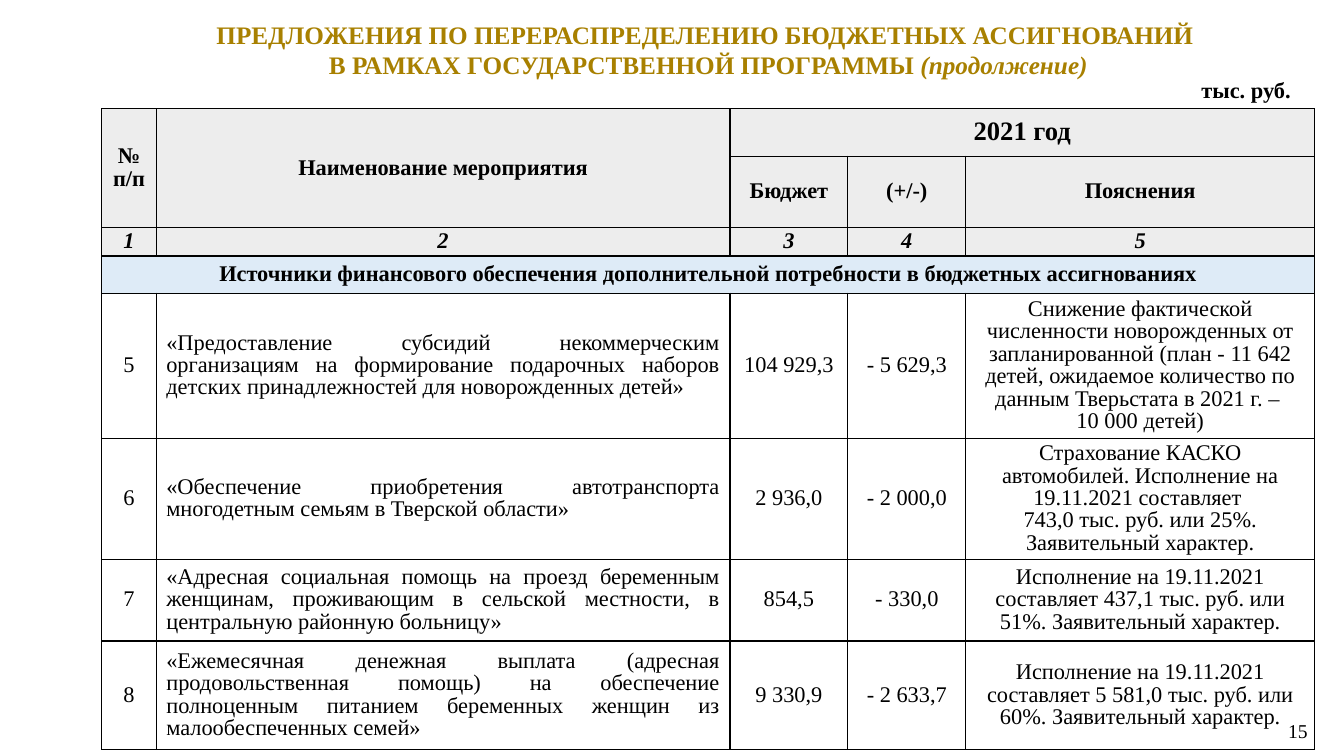
"""Build the budget reallocation slide with its table of measures."""
from lxml import etree
from pptx import Presentation
from pptx import util as u
from pptx.dml.color import RGBColor
from pptx.enum import text
from pptx.oxml import ns

COLORS = {"title": "A88000", "text": "000000", "border": "000000",
          "head": "EDEDED", "section": "DEEBF7"}
FONT = "Times New Roman"
ALIGN = text.PP_ALIGN
MIDDLE = text.MSO_ANCHOR.MIDDLE
WIDE = (0.13, 0.07)
TIGHT = (0.1, 0)

COL_WIDTHS = [0.54, 5.69, 1.17, 1.17, 3.46]
ROW_HEIGHTS = [0.47, 0.71, 0.28, 0.37, 1.44, 1.2, 0.81, 1.08]
MERGES = [((0, 0), (1, 0)), ((0, 1), (1, 1)), ((0, 2), (0, 4)), ((3, 0), (3, 4))]
HEAD_ROWS, SECTION_ROW, NUMBERS_ROW = 3, 3, 2

ROWS = [
    ["№ п/п", "Наименование мероприятия", "2021 год", "", ""],
    ["", "", "Бюджет", "(+/-)", "Пояснения"],
    ["1", "2", "3", "4", "5"],
    ["Источники финансового обеспечения дополнительной потребности "
     "в бюджетных ассигнованиях", "", "", "", ""],
    ["5", "«Предоставление субсидий некоммерческим организациям на формирование "
     "подарочных наборов детских принадлежностей для новорожденных детей»",
     "104 929,3", "- 5 629,3",
     "Снижение фактической численности новорожденных от запланированной "
     "(план - 11 642 детей, ожидаемое количество по данным Тверьстата "
     "в 2021 г. – \n10 000 детей)"],
    ["6", "«Обеспечение приобретения автотранспорта многодетным семьям "
     "в Тверской области»", "2 936,0", "- 2 000,0",
     "Страхование КАСКО автомобилей. Исполнение на 19.11.2021 составляет \n"
     "743,0 тыс. руб. или 25%.\nЗаявительный характер."],
    ["7", "«Адресная социальная помощь на проезд беременным женщинам, "
     "проживающим в сельской местности, в центральную районную больницу» ",
     "854,5", "- 330,0",
     "Исполнение на 19.11.2021 составляет 437,1 тыс. руб. или 51%. "
     "Заявительный характер."],
    ["8", "«Ежемесячная денежная выплата (адресная продовольственная помощь) "
     "на обеспечение полноценным питанием беременных женщин "
     "из малообеспеченных семей»", "9 330,9", "- 2 633,7",
     "Исполнение на 19.11.2021 составляет 5 581,0 тыс. руб. или 60%. "
     "Заявительный характер."],
]


def set_attrs(obj, values):
    """Set every attribute named in a dict of format values."""
    for name, value in values.items():
        setattr(obj, name, value)


def set_margins(obj, margins):
    """Set side and top/bottom margins, in inches, on a frame or cell."""
    side, edge = map(u.Inches, margins)
    set_attrs(obj, {"margin_left": side, "margin_right": side,
                    "margin_top": edge, "margin_bottom": edge})


def add_run(p, words, size, color="text", **style):
    """Add one formatted run to a paragraph."""
    r = p.add_run()
    r.text = words
    set_attrs(r.font, {"name": FONT, "size": u.Pt(size), **style})
    r.font.color.rgb = RGBColor.from_string(COLORS[color])


def add_paragraphs(tf, paragraphs, size, para, color="text", **style):
    """Fill a text frame from lists of (words, extra style) runs."""
    for i, runs in enumerate(paragraphs):
        p = tf.paragraphs[0] if i == 0 else tf.add_paragraph()
        set_attrs(p, para)
        for words, extra in runs:
            add_run(p, words, size, color, **{**style, **extra})


def add_text(s, box, paragraphs, size, para, margins=(0.1, 0.05),
             anchor=text.MSO_ANCHOR.TOP, **style):
    """Add a wrapping text box and return its frame."""
    tf = s.shapes.add_textbox(*map(u.Inches, box)).text_frame
    set_attrs(tf, {"word_wrap": True, "vertical_anchor": anchor})
    set_margins(tf, margins)
    add_paragraphs(tf, paragraphs, size, para, **style)
    return tf


def add_title(s):
    """Add the two-line title with its hanging indent."""
    lines = [[("ПРЕДЛОЖЕНИЯ ПО ПЕРЕРАСПРЕДЕЛЕНИЮ БЮДЖЕТНЫХ АССИГНОВАНИЙ ", {})],
             [("В РАМКАХ ГОСУДАРСТВЕННОЙ ПРОГРАММЫ ", {}),
              ("(продолжение)", {"italic": True})]]
    tf = add_text(s, (1, 0.12, 12.05, 0.72), lines, 18, {"alignment": ALIGN.CENTER},
                  WIDE, color="title", bold=True)
    indent = u.Inches(0.58)
    for p in tf.paragraphs:
        pPr = p._p.get_or_add_pPr()
        pPr.set("marL", str(indent))
        pPr.set("indent", str(-indent))


def set_borders(cell):
    """Draw a thin line on all four sides of a cell."""
    tcPr = cell._tc.get_or_add_tcPr()
    for side in ("lnL", "lnR", "lnT", "lnB"):
        ln = etree.SubElement(tcPr, ns.qn(f"a:{side}"), w=str(u.Pt(1)))
        fill = etree.SubElement(ln, ns.qn("a:solidFill"))
        etree.SubElement(fill, ns.qn("a:srgbClr"), val=COLORS["border"])


def set_fill(cell, row):
    """Fill heading and section cells; leave the others clear."""
    if row > SECTION_ROW:
        cell.fill.background()
        return
    cell.fill.solid()
    name = "section" if row == SECTION_ROW else "head"
    cell.fill.fore_color.rgb = RGBColor.from_string(COLORS[name])


def fill_cell(cell, words, row, col):
    """Format one cell by its place in the table."""
    year = (row, col) == (0, 2)
    wide = year or row == 1
    set_margins(cell, WIDE if wide else TIGHT)
    cell.vertical_anchor = MIDDLE
    set_borders(cell)
    set_fill(cell, row)
    if not words:
        return
    justified = row > SECTION_ROW and col == 1
    para = {"alignment": ALIGN.JUSTIFY if justified else ALIGN.CENTER,
            "line_spacing": 0.9}
    paragraphs = [[(line, {})] for line in words.split("\n")]
    add_paragraphs(cell.text_frame, paragraphs, 19 if year else 16, para,
                   bold=row <= SECTION_ROW, italic=row == NUMBERS_ROW)


def add_measures_table(s):
    """Add the table of measures."""
    box = (1.01, 1.08, sum(COL_WIDTHS), sum(ROW_HEIGHTS))
    table = s.shapes.add_table(len(ROWS), len(COL_WIDTHS), *map(u.Inches, box)).table
    set_attrs(table, {"first_row": False, "horz_banding": False})
    for column, width in zip(table.columns, COL_WIDTHS):
        column.width = u.Inches(width)
    for row, height in zip(table.rows, ROW_HEIGHTS):
        row.height = u.Inches(height)
    for first, last in MERGES:
        table.cell(*first).merge(table.cell(*last))
    for i, row in enumerate(ROWS):
        for j, words in enumerate(row):
            fill_cell(table.cell(i, j), words, i, j)


def main():
    """Build and save the slide."""
    prs = Presentation()
    set_attrs(prs, {"slide_width": u.Inches(13.33), "slide_height": u.Inches(7.5)})
    s = prs.slides.add_slide(prs.slide_layouts[6])
    add_text(s, (12.1, 7.1, 1, 0.29), [[("15", {})]], 14,
             {"alignment": ALIGN.RIGHT}, WIDE, MIDDLE)
    add_title(s)
    tf = add_text(s, (11.54, 0.67, 1.36, 0.41), [[("тыс. руб.", {})]], 16,
                  {"alignment": ALIGN.RIGHT, "line_spacing": 1.15}, bold=True)
    tf.auto_size = text.MSO_AUTO_SIZE.SHAPE_TO_FIT_TEXT
    add_measures_table(s)
    prs.save("out.pptx")


main()
